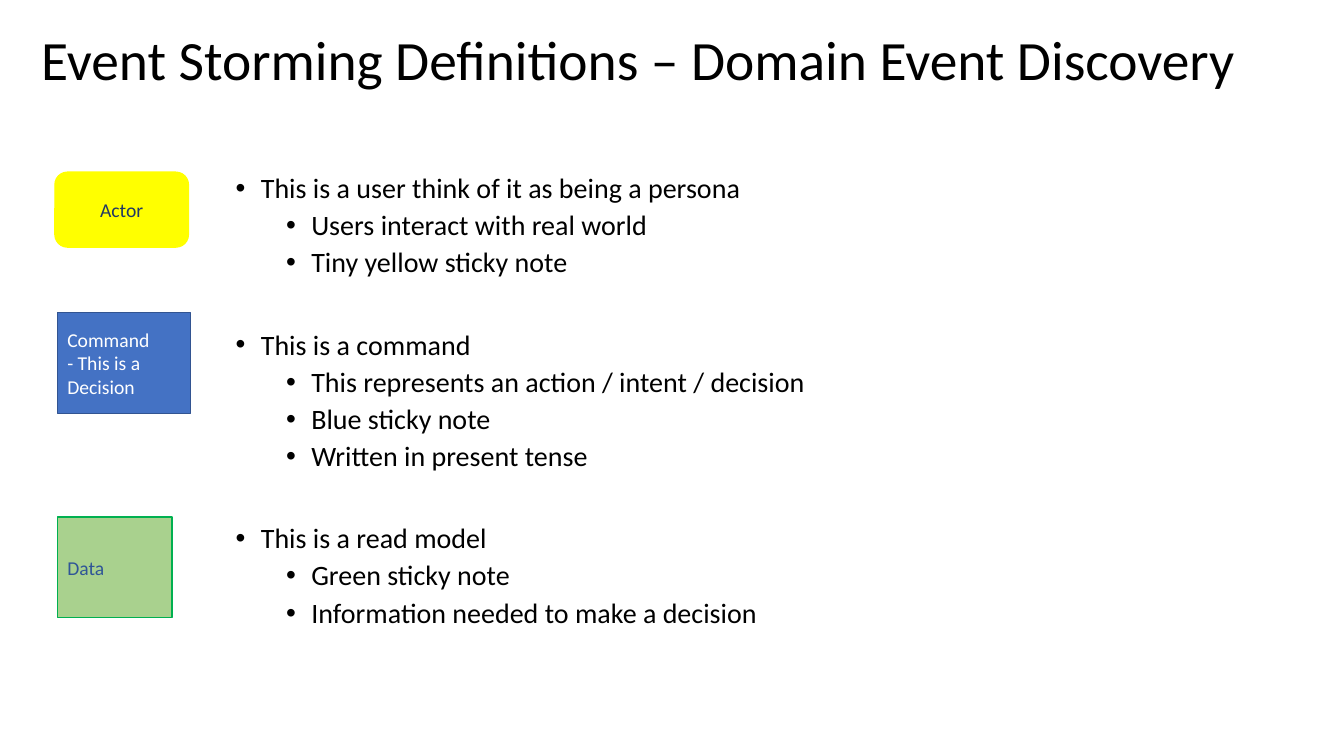
from pptx import Presentation
from pptx.util import Pt
from pptx.dml.color import RGBColor as RGB
from pptx.enum.shapes import MSO_SHAPE as Shape
from pptx.enum.text import MSO_ANCHOR as Anchor, PP_ALIGN as Align
from pptx.oxml.ns import qn
from lxml.etree import SubElement as Sub

color = {
    "black": "000000", "white": "FFFFFF", "yellow": "FFFF00", "navy": "203864",
    "blue": "4472C4", "edge": "325491", "green": "A9D18E", "rim": "00B050",
    "ink": "2F5597",
}

deck = Presentation()
deck.slide_width, deck.slide_height = Pt(960), Pt(540)
slide = deck.slides.add_slide(deck.slide_layouts[6])


def write(para, text, size, tone):
    run = para.add_run()
    run.text = text
    run.font.size = Pt(size)
    run.font.name = "Calibri"
    run.font.color.rgb = RGB.from_string(color[tone])


def add_box(left, top, width, height):
    box = slide.shapes.add_textbox(Pt(left), Pt(top), Pt(width), Pt(height))
    box.text_frame.word_wrap = True
    return box.text_frame


title = add_box(22.3, 18, 887, 53.3)
title.vertical_anchor = Anchor.MIDDLE
para = title.paragraphs[0]
para.line_spacing = 0.9
write(para, "Event Storming Definitions – Domain Event Discovery", 39.6, "black")

groups = [
    ["This is a user think of it as being a persona",
     "Users interact with real world",
     "Tiny yellow sticky note"],
    ["This is a command",
     "This represents an action / intent / decision",
     "Blue sticky note",
     "Written in present tense"],
    ["This is a read model",
     "Green sticky note",
     "Information needed to make a decision"],
]
body = add_box(161.3, 121, 784, 342.7)
for g, group in enumerate(groups):
    for i, text in enumerate(group):
        first = g == i == 0
        para = body.paragraphs[0] if first else body.add_paragraph()
        para.level = 1 if i else 0
        para.line_spacing = 0.9
        para.space_before = Pt(5 if i else 37 if g else 10)
        props = para._p.get_or_add_pPr()
        props.set("marL", str(Pt(54 if i else 18)))
        props.set("indent", str(Pt(-18)))
        Sub(props, qn("a:buFont"), typeface="Arial")
        Sub(props, qn("a:buChar"), char="•")
        write(para, text, 20, "black")

notes = [
    (Shape.ROUNDED_RECTANGLE, 39.3, 123, 95.3, 53.5, "yellow", "yellow",
     "navy", Align.CENTER, ["Actor"]),
    (Shape.RECTANGLE, 41, 223.3, 95.3, 72, "blue", "edge",
     "white", Align.LEFT, ["Command", "- This is a Decision"]),
    (Shape.RECTANGLE, 41, 369.2, 82, 72, "green", "rim",
     "ink", Align.LEFT, ["Data"]),
]
for kind, left, top, width, height, fill, line, tone, align, lines in notes:
    note = slide.shapes.add_shape(kind, Pt(left), Pt(top), Pt(width), Pt(height))
    note.shadow.inherit = False
    note.fill.solid()
    note.fill.fore_color.rgb = RGB.from_string(color[fill])
    note.line.color.rgb = RGB.from_string(color[line])
    note.line.width = Pt(1)
    frame = note.text_frame
    frame.word_wrap = True
    frame.vertical_anchor = Anchor.MIDDLE
    for i, text in enumerate(lines):
        para = frame.add_paragraph() if i else frame.paragraphs[0]
        para.alignment = align
        write(para, text, 14, tone)

deck.save("out.pptx")
